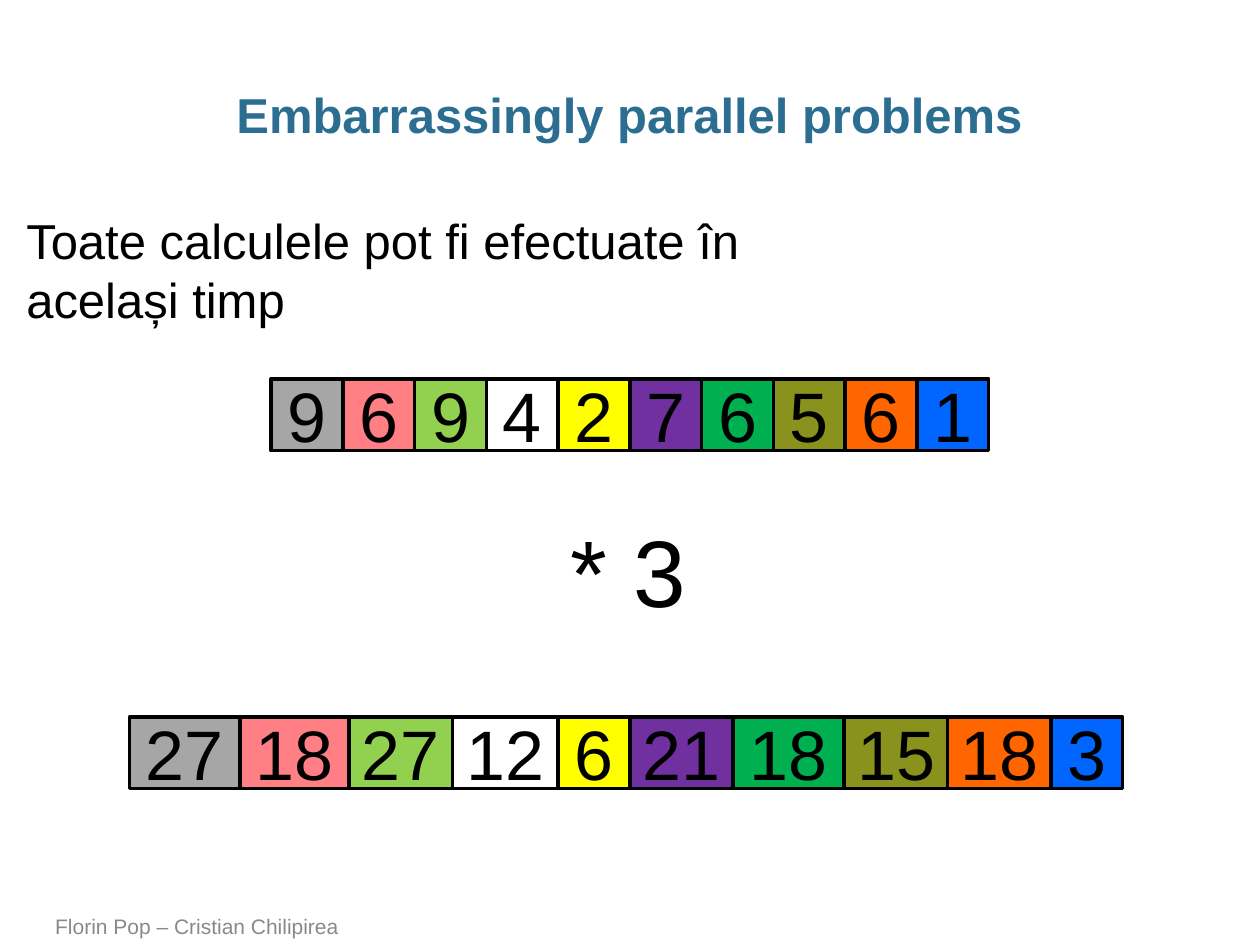
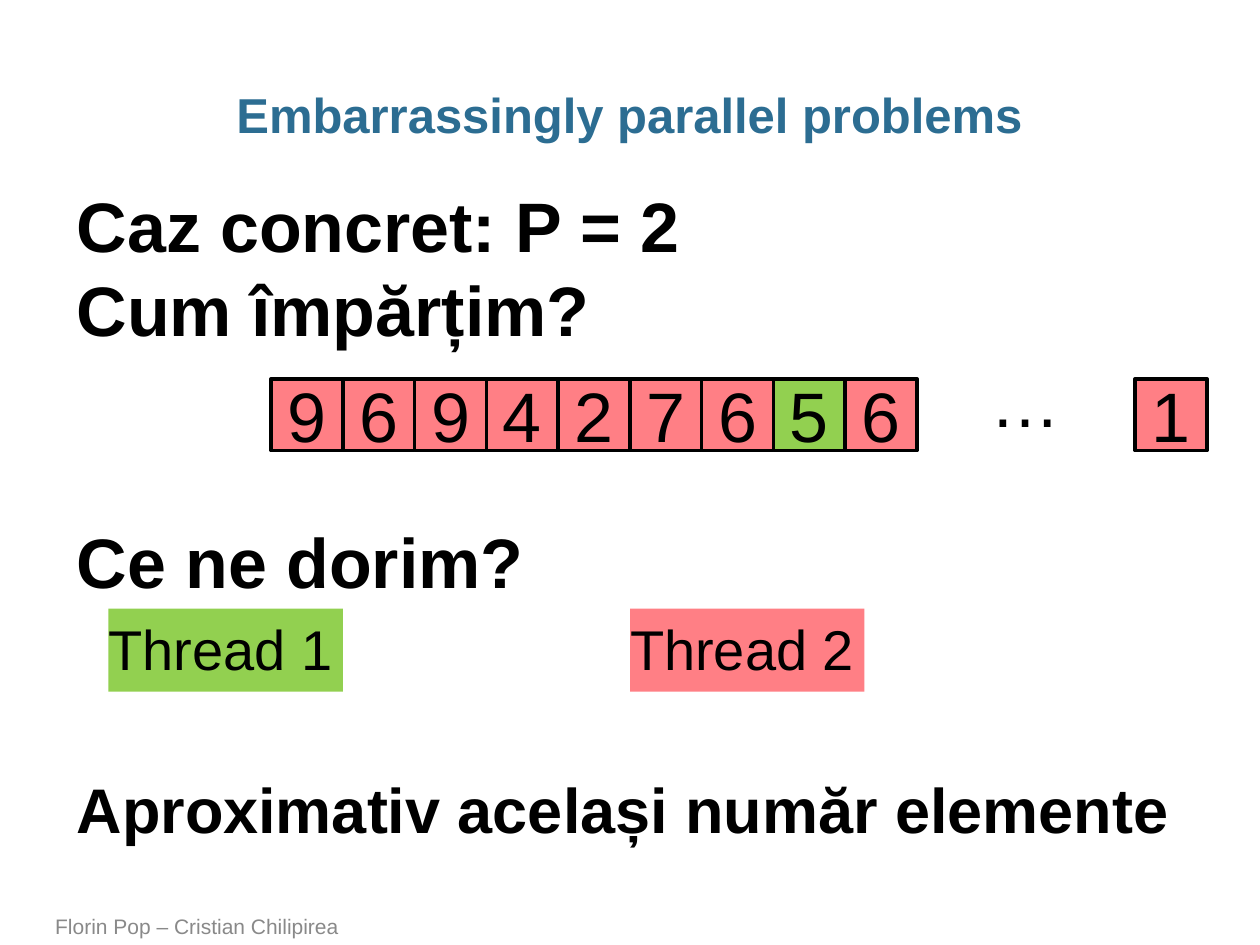
"""Builds two slides on embarrassingly parallel problems."""
from pptx import Presentation
from pptx.dml.color import RGBColor
from pptx.enum.shapes import MSO_SHAPE
from pptx.enum.text import MSO_ANCHOR, PP_ALIGN
from pptx.util import Pt

RECTANGLE = MSO_SHAPE.RECTANGLE
TOP, MIDDLE, BOTTOM = MSO_ANCHOR.TOP, MSO_ANCHOR.MIDDLE, MSO_ANCHOR.BOTTOM
LEFT, CENTER = PP_ALIGN.LEFT, PP_ALIGN.CENTER

FONT = "Arial"
COLORS = {
    "title": "2C6D92", "footer": "898989", "black": "000000",
    "gray": "A6A6A6", "pink": "FF7F85", "lime": "92D050", "yellow": "FFFF00",
    "purple": "7030A0", "green": "00B050", "olive": "8A921E",
    "orange": "FF6600", "blue": "0066FF",
}
CELL = 41
ROW_LEFT, ROW_TOP = 155, 216.5


def write(shape, text, size, color="black", bold=False, align=LEFT, anchor=TOP,
          wrap=True, side_margin=7.2):
    text_frame = shape.text_frame
    text_frame.text = text
    text_frame.word_wrap = wrap
    text_frame.vertical_anchor = anchor
    text_frame.margin_left = text_frame.margin_right = Pt(side_margin)
    for paragraph in text_frame.paragraphs:
        paragraph.alignment = align
        for run in paragraph.runs:
            run.font.name = FONT
            run.font.size = Pt(size)
            run.font.bold = bold
            run.font.color.rgb = RGBColor.from_string(COLORS[color])
    return text_frame


def add_box(slide, left, top, width, height, fill, outlined=True):
    box = slide.shapes.add_shape(RECTANGLE, Pt(left), Pt(top), Pt(width), Pt(height))
    box.shadow.inherit = False
    if fill:
        box.fill.solid()
        box.fill.fore_color.rgb = RGBColor.from_string(COLORS[fill])
    else:
        box.fill.background()
    if outlined:
        box.line.color.rgb = RGBColor.from_string(COLORS["black"])
        box.line.width = Pt(2)
    else:
        box.line.fill.background()
    return box


presentation = Presentation()
presentation.slide_width = Pt(720)
presentation.slide_height = Pt(540)
blank_layout = presentation.slide_layouts[6]
multiply_slide = presentation.slides.add_slide(blank_layout)
split_slide = presentation.slides.add_slide(blank_layout)

questions = split_slide.shapes.add_textbox(Pt(36.7), Pt(100.8), Pt(670.3), Pt(390))
questions_frame = write(
    questions,
    "Caz concret: P = 2\nCum împărțim?\nCe ne dorim?\nAproximativ același număr elemente",
    40, bold=True)
for paragraph in questions_frame.paragraphs[2:]:
    paragraph.space_before = Pt(96)
questions_frame.paragraphs[3].runs[0].font.size = Pt(36)

for slide in (multiply_slide, split_slide):
    title = slide.shapes.add_textbox(Pt(24.5), Pt(49), Pt(670.3), Pt(36))
    title_frame = write(title, "Embarrassingly parallel problems", 28, "title", bold=True,
                        align=CENTER, anchor=MIDDLE, side_margin=0)
    title_frame.paragraphs[0].line_spacing = 0.95
    footer = slide.shapes.add_textbox(Pt(24.5), Pt(520), Pt(530.6), Pt(20))
    write(footer, "Florin Pop – Cristian Chilipirea", 12, "footer", anchor=BOTTOM)

numbers = [9, 6, 9, 4, 2, 7, 6, 5, 6, 1]
number_fills = ["gray", "pink", "lime", None, "yellow",
                "purple", "green", "olive", "orange", "blue"]
product_widths = [63, 62.5, 59, 60.5, CELL, 59, 63.5, 59, 59, CELL]
product_left = 74
for index, (number, fill, width) in enumerate(zip(numbers, number_fills, product_widths)):
    input_cell = add_box(multiply_slide, ROW_LEFT + index * CELL, ROW_TOP, CELL, CELL, fill)
    product_cell = add_box(multiply_slide, product_left, 409.7, width, CELL, fill)
    product_left += width

    split_left = 648.7 if index == len(numbers) - 1 else ROW_LEFT + index * CELL
    thread_fill = "lime" if number == 5 else "pink"
    split_cell = add_box(split_slide, split_left, ROW_TOP, CELL, CELL, thread_fill)

    for cell, value in ((input_cell, number), (product_cell, number * 3), (split_cell, number)):
        write(cell, str(value), 40, align=CENTER, anchor=MIDDLE, wrap=False)

factor = multiply_slide.shapes.add_textbox(Pt(319), Pt(289.4), Pt(81.4), Pt(72.7))
write(factor, "* 3", 54, wrap=False)
statement = multiply_slide.shapes.add_textbox(Pt(8), Pt(116.6), Pt(499), Pt(75))
write(statement, "Toate calculele pot fi efectuate în același timp", 28)

ellipsis = split_slide.shapes.add_textbox(Pt(558.7), Pt(200.9), Pt(54.7), Pt(55.4))
write(ellipsis, "…", 40, wrap=False)
for label, left, fill in (("Thread 1", 62, "lime"), ("Thread 2", 360, "pink")):
    thread = add_box(split_slide, left, 347.8, 134, 47.5, fill, outlined=False)
    write(thread, label, 32, side_margin=0)

presentation.save("out.pptx")
